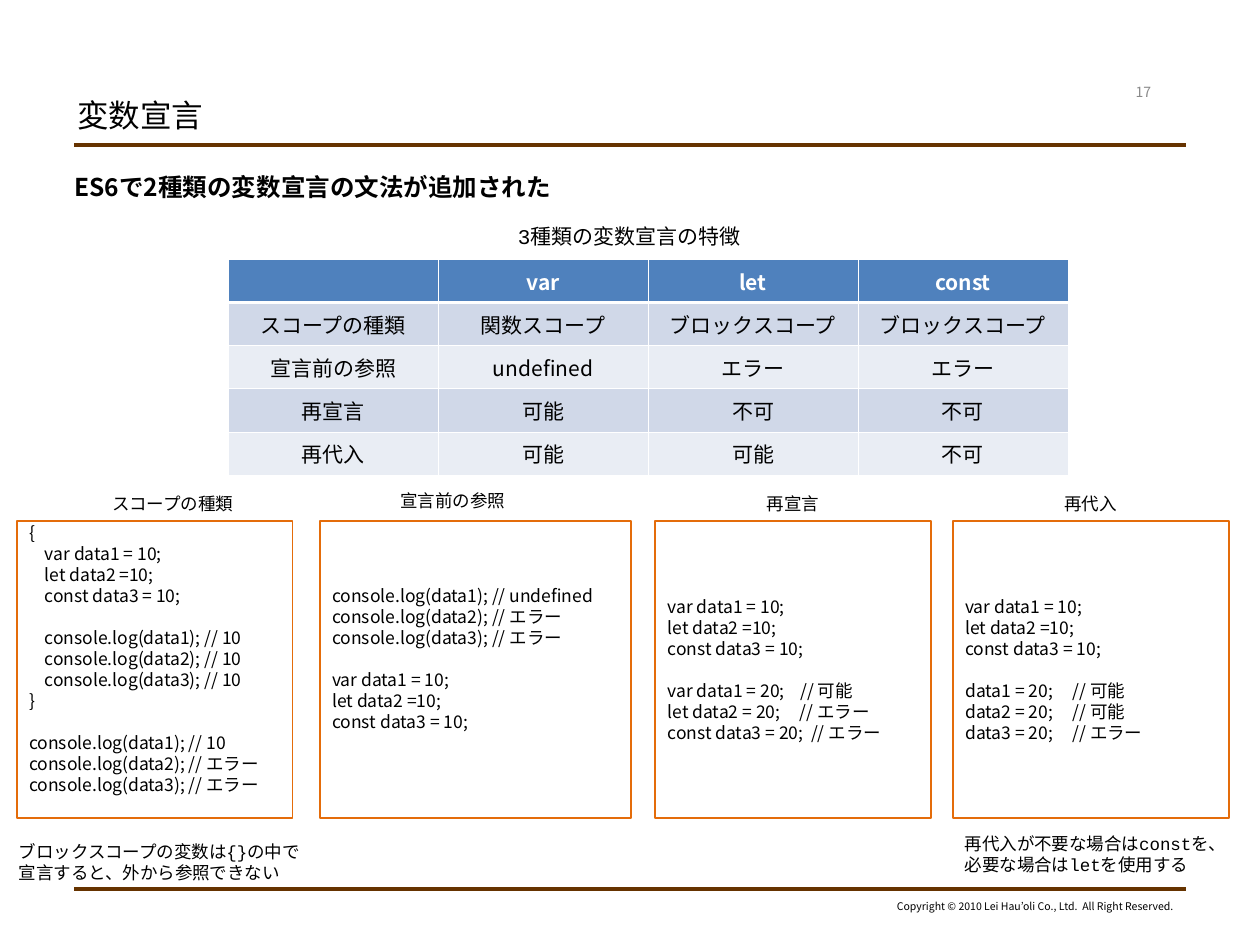
from lxml.etree import SubElement as Sub
from pptx import Presentation
from pptx.dml.color import RGBColor as Rgb
from pptx.enum.shapes import MSO_CONNECTOR as Conn, MSO_SHAPE as Kind
from pptx.enum.text import MSO_ANCHOR as Anchor, MSO_AUTO_SIZE as Auto, PP_ALIGN as Align
from pptx.oxml.ns import qn
from pptx.util import Cm, Pt

# Content
TITLE = "変数宣言"
LEAD = "ES6で2種類の変数宣言の文法が追加された"
PAGE = "17"
LEGAL = "Copyright © 2010 Lei Hau’oli Co., Ltd.  All Right Reserved."
CAPTION = "3種類の変数宣言の特徴"
ROWS = [
    ("", "var", "let", "const"),
    ("スコープの種類", "関数スコープ", "ブロックスコープ", "ブロックスコープ"),
    ("宣言前の参照", "undefined", "エラー", "エラー"),
    ("再宣言", "可能", "不可", "不可"),
    ("再代入", "可能", "可能", "不可"),
]
DECLARE = ["var data1 = 10;", "let data2 =10;", "const data3 = 10;"]
LOGS = [f"console.log(data{n}); // " for n in (1, 2, 3)]
INDENT = "    "
SCOPE = [
    ["{"] + [INDENT + line for line in DECLARE],
    [INDENT + log + "10" for log in LOGS] + ["}"],
    [log + end for log, end in zip(LOGS, ("10", "エラー", "エラー"))],
]
BEFORE = [
    [log + end for log, end in zip(LOGS, ("undefined", "エラー", "エラー"))],
    DECLARE,
]
AGAIN = [DECLARE, ["var data1 = 20;    // 可能", "let data2 = 20;     // エラー",
                   "const data3 = 20;  // エラー"]]
ASSIGN = [DECLARE, ["data1 = 20;     // 可能", "data2 = 20;     // 可能",
                    "data3 = 20;     // エラー"]]
# label, its left, top and width; panel left and width; code blocks; free lines below
PANELS = [
    ("スコープの種類", 2.01, 9.81, 2.97, 0.34, 5.56, SCOPE, 1),
    ("宣言前の参照", 7.82, 9.76, 2.62, 6.45, 6.27, BEFORE, 1),
    ("再宣言", 15.21, 9.81, 1.6, 13.21, 5.56, AGAIN, 0),
    ("再代入", 21.21, 9.81, 1.6, 19.21, 5.56, ASSIGN, 0),
]
NOTES = [
    (0.13, 16.82, 6.35, ["ブロックスコープの変数は{}の中で", "宣言すると、外から参照できない"]),
    (19.2, 16.66, 5.94, ["再代入が不要な場合はconstを、", "必要な場合はletを使用する"]),
]

HEX = {"ink": "000000", "white": "FFFFFF", "grey": "898989", "rule": "663300",
       "edge": "E46C0A", "head": "4F81BD", "odd": "D0D8E8", "even": "E9EDF4"}
SANS, MONO = "Noto Sans CJK JP", "Courier New"
LINE = 12  # height of a code line in points


def tint(name):
    return Rgb.from_string(HEX[name])


def style(para, size, face=SANS, color="ink", bold=False, align=Align.LEFT):
    para.alignment = align
    font = para.font
    font.size, font.bold, font.name = Pt(size), bold, face
    font.color.rgb = tint(color)
    Sub(para._p.pPr.find(qn("a:defRPr")), qn("a:ea"), typeface=SANS)


def write(frame, lines, size, **look):
    for i, line in enumerate(lines):
        para = frame.paragraphs[0] if i == 0 else frame.add_paragraph()
        para.text = line
        style(para, size, **look)


def label(left, top, wide, high, lines, size, wrap=False, **look):
    frame = slide.shapes.add_textbox(Cm(left), Cm(top), Cm(wide), Cm(high)).text_frame
    frame.word_wrap = wrap
    frame.auto_size = Auto.NONE if wrap else Auto.SHAPE_TO_FIT_TEXT
    write(frame, lines, size, **look)
    return frame


def border(cell, sides):
    props = cell._tc.get_or_add_tcPr()
    for i, (side, width) in enumerate(sides):
        edge = props.makeelement(qn(f"a:{side}"), {"w": str(Pt(width))})
        fill = Sub(edge, qn("a:solidFill"))
        Sub(fill, qn("a:srgbClr"), val=HEX["white"])
        props.insert(i, edge)


deck = Presentation()
deck.slide_width, deck.slide_height = Cm(25.4), Cm(19.05)
slide = deck.slides.add_slide(deck.slide_layouts[5])

# Rules and footer
for y in (2.92, 17.93):
    rule = slide.shapes.add_connector(Conn.STRAIGHT, Cm(1.5), Cm(y), Cm(23.9), Cm(y))
    rule.line.color.rgb, rule.line.width = tint("rule"), Pt(2.25)
    Sub(rule._element.spPr, qn("a:effectLst"))
label(17.75, 18.01, 6.15, 0.51, [LEGAL], 6, align=Align.RIGHT)

# Title, page number and lead
title = slide.shapes.title
title.left, title.top, title.width, title.height = Cm(1.3), Cm(1.92), Cm(16.81), Cm(0.81)
title.text_frame.auto_size = Auto.NONE
title.text_frame.vertical_anchor = Anchor.MIDDLE
write(title.text_frame, [TITLE], 18)
page = label(22.3, 1.55, 1.5, 0.61, [PAGE], 8, wrap=True, color="grey", align=Align.CENTER)
page.vertical_anchor = Anchor.MIDDLE
label(1.25, 3.35, 22.86, 14.2, [LEAD], 14, wrap=True, bold=True)

# Table of features
label(10.19, 4.38, 5.1, 0.76, [CAPTION], 12, face=MONO)
grid = slide.shapes.add_table(len(ROWS), 4, Cm(4.6), Cm(5.23), Cm(16.93), Cm(4.35)).table
for r, row in enumerate(ROWS):
    for c, text in enumerate(row):
        cell = grid.cell(r, c)
        cell.fill.solid()
        cell.fill.fore_color.rgb = tint("head" if r == 0 else "odd" if r % 2 else "even")
        write(cell.text_frame, [text], 12, color="ink" if r else "white",
              bold=r == 0, align=Align.CENTER)
        border(cell, [("lnL", 0.45), ("lnR", 0.45), ("lnT", 1.47 if r == 1 else 0.45),
                      ("lnB", 1.47 if r == 0 else 0.45)])

# Code panels with their labels
for name, x, y, w, left, wide, blocks, free in PANELS:
    label(x, y, w, 0.69, [name], 10, face=MONO)
    panel = slide.shapes.add_shape(Kind.RECTANGLE, Cm(left), Cm(10.5), Cm(wide), Cm(5.99))
    panel.shadow.inherit = False
    panel.fill.background()
    panel.line.color.rgb, panel.line.width = tint("edge"), Pt(1)
    frame = panel.text_frame
    frame.word_wrap, frame.vertical_anchor = True, Anchor.MIDDLE
    frame.margin_bottom = Cm(0.13) + Pt(LINE * free)
    write(frame, sum(blocks, []), 10)
    start = 0
    for block in blocks[:-1]:
        start += len(block)
        frame.paragraphs[start].space_before = Pt(LINE)

# Notes below the panels
for left, top, wide, lines in NOTES:
    label(left, top, wide, 1.12, lines, 10, face=MONO)

deck.save("out.pptx")
